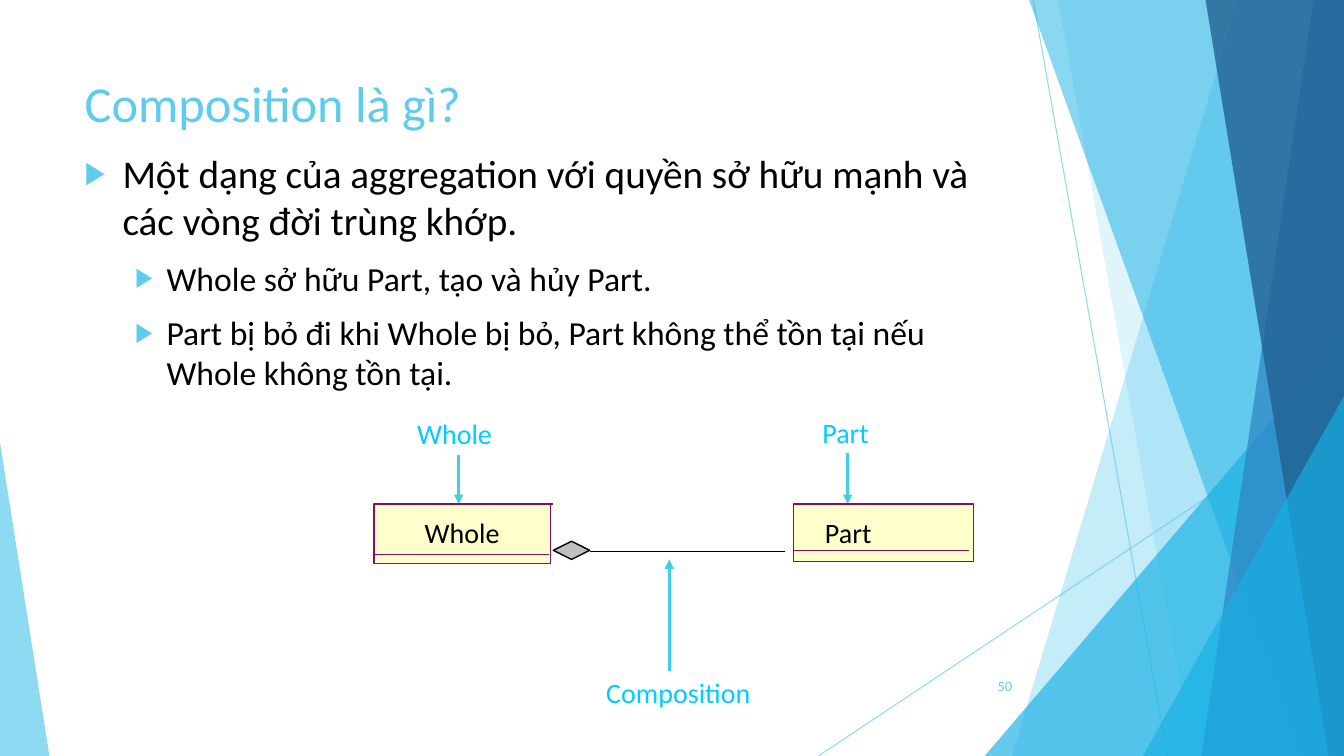
"""Build the slide that explains composition with a small class diagram."""
from dataclasses import dataclass
from typing import Any, Optional

import pptx
import pptx.dml.color
import pptx.enum.dml
import pptx.enum.shapes
import pptx.enum.text
import pptx.oxml
import pptx.oxml.ns
import pptx.util

Pt = pptx.util.Pt
RGBColor = pptx.dml.color.RGBColor
Shape = pptx.enum.shapes.MSO_SHAPE
Align = pptx.enum.text.PP_ALIGN
Anchor = pptx.enum.text.MSO_ANCHOR
AutoSize = pptx.enum.text.MSO_AUTO_SIZE

WIDTH, HEIGHT = 960, 540
SKY = RGBColor(0x5F, 0xCB, 0xEF)
AZURE = RGBColor(0x17, 0xB0, 0xE4)
BLUE = RGBColor(0x2E, 0x83, 0xC3)
NAVY = RGBColor(0x22, 0x62, 0x92)
CYAN = RGBColor(0x00, 0xCC, 0xFF)
ARROW = RGBColor(0x3F, 0xCD, 0xE7)
CREAM = RGBColor(0xFF, 0xFF, 0xCC)
PLUM = RGBColor(0x8A, 0x0E, 0x5E)
SILVER = RGBColor(0xC0, 0xC0, 0xC0)
BLACK = RGBColor(0, 0, 0)


@dataclass
class Line:
    start: tuple[float, float]
    end: tuple[float, float]
    color: RGBColor
    width: float = 1
    arrow: bool = False
    opacity: int = 100


@dataclass
class Band:
    top_x: float
    bottom_x: float
    color: RGBColor
    opacity: int


@dataclass
class Block:
    box: tuple[float, float, float, float]
    fill: RGBColor
    kind: Any = Shape.RECTANGLE
    line: Optional[RGBColor] = None
    opacity: int = 100
    apex: Optional[float] = None


@dataclass
class Label:
    box: tuple[float, float, float, float]
    text: str
    color: RGBColor = CYAN
    size: float = 20
    font: str = "Calibri"
    align: Any = Align.CENTER
    anchor: Any = Anchor.TOP
    inset: tuple[float, float] = (8.64, 4.32)
    wrap: bool = True
    fill: Optional[RGBColor] = None


@dataclass
class Bullet:
    text: str
    level: int
    size: float
    left: float
    hanging: float
    before: float


BACKDROP = [
    Line((738, 0), (833.8, 540), SKY, 0.75, opacity=70),
    Line((960, 290.2), (584.6, 540), SKY, 0.75, opacity=70),
    Band(884.2, 722.9, SKY, 36),
    Band(756, 851.8, SKY, 20),
    Block((703.4, 239.8, 256.6, 300.2), AZURE, Shape.ISOSCELES_TRIANGLE, opacity=66, apex=1),
    Band(735.1, 929.5, AZURE, 50),
    Band(938.2, 858.2, BLUE, 70),
    Band(861.1, 949, NAVY, 80),
    Block((816.5, 283, 143.5, 257), AZURE, Shape.ISOSCELES_TRIANGLE, opacity=66, apex=1),
    Block((0, 316.1, 35.3, 223.9), SKY, Shape.ISOSCELES_TRIANGLE, opacity=70, apex=0),
]
BULLETS = [
    Bullet("Một dạng của aggregation với quyền sở hữu mạnh và các vòng đời trùng khớp.",
           0, 28, 27, 27, 0),
    Bullet("Whole sở hữu Part, tạo và hủy Part.", 1, 24, 58.5, 22.5, 10),
    Bullet("Part bị bỏ đi khi Whole bị bỏ, Part không thể tồn tại nếu Whole không tồn tại.",
           1, 24, 58.5, 22.5, 10),
]
DIAGRAM = [
    Label((676.1, 475.9, 54, 28.8), "50", SKY, 9, "Lato", Align.RIGHT, Anchor.MIDDLE, (7.2, 3.6)),
    Line((560.9, 393.8), (421.2, 393.8), BLACK),
    Block((395.3, 386.6, 25.9, 13), SILVER, Shape.DIAMOND, BLACK),
    Label((285.8, 293, 77.8, 33.1), "Whole"),
    Label((418.3, 478.1, 132.5, 33.1), "Composition"),
    Label((569.5, 292.3, 69.1, 33.1), "Part"),
    Line((478.1, 479.5), (478.1, 399.6), ARROW, 2.25, True),
    Line((327.6, 324.7), (327.6, 360), ARROW, 2.25, True),
    Line((605.5, 323.3), (605.5, 360), ARROW, 2.25, True),
    Block((566.6, 360, 128.9, 41), CREAM, line=PLUM),
    Line((566.6, 393.1), (691.9, 393.1), PLUM),
    Label((589, 367.9, 33.8, 24.5), "Part", BLACK, inset=(0, 0), wrap=False, fill=CREAM),
    Block((267.1, 360, 126, 42.5), CREAM, line=PLUM),
    Line((267.1, 396), (392.4, 396), PLUM),
    Label((303.1, 367.9, 54, 24.5), "Whole", BLACK, inset=(0, 0), wrap=False, fill=CREAM),
    Line((269.3, 360), (395.3, 360), PLUM),
]


def assign(obj: Any, values: dict[str, Any]) -> None:
    for name, value in values.items():
        setattr(obj, name, value)


def add_xml(parent: Any, tag: str, **attributes: str) -> Any:
    child = pptx.oxml.parse_xml(f"<a:{tag} {pptx.oxml.ns.nsdecls('a')}/>")
    for name, value in attributes.items():
        child.set(name, value)
    parent.append(child)
    return child


def paint(fill: Any, color: RGBColor, opacity: int = 100) -> None:
    fill.solid()
    fill.fore_color.rgb = color
    if opacity < 100:
        for clr in fill._xPr.iter(pptx.oxml.ns.qn("a:srgbClr")):
            add_xml(clr, "alpha", val=str(opacity * 1000))


def write(p: Any, text: str, size: float, color: RGBColor, font: str = "Calibri") -> None:
    r = p.add_run()
    r.text = text
    assign(r.font, {"name": font, "size": Pt(size)})
    r.font.color.rgb = color


def draw_line(shapes: Any, line: Line) -> None:
    points = [Pt(v) for v in (*line.start, *line.end)]
    sp = shapes.add_connector(pptx.enum.shapes.MSO_CONNECTOR.STRAIGHT, *points)
    sp.line.width = Pt(line.width)
    paint(sp.line.fill, line.color, line.opacity)
    if line.arrow:
        add_xml(sp.line._get_or_add_ln(), "tailEnd", type="triangle")
    add_xml(sp._element.spPr, "effectLst")


def draw_band(shapes: Any, band: Band) -> None:
    builder = shapes.build_freeform(Pt(band.top_x), 0)
    corners = [(WIDTH, 0), (WIDTH, HEIGHT), (band.bottom_x, HEIGHT)]
    builder.add_line_segments([(Pt(x), Pt(y)) for x, y in corners])
    sp = builder.convert_to_shape()
    sp.shadow.inherit = False
    paint(sp.fill, band.color, band.opacity)
    sp.line.fill.background()


def draw_block(shapes: Any, block: Block) -> None:
    sp = shapes.add_shape(block.kind, *map(Pt, block.box))
    sp.shadow.inherit = False
    if block.apex is not None:
        sp.adjustments[0] = block.apex
    paint(sp.fill, block.fill, block.opacity)
    if block.line is None:
        sp.line.fill.background()
    else:
        sp.line.width = Pt(1)
        paint(sp.line.fill, block.line)


def draw_label(shapes: Any, label: Label) -> None:
    sp = shapes.add_textbox(*map(Pt, label.box))
    if label.fill is not None:
        paint(sp.fill, label.fill)
    x, y = map(Pt, label.inset)
    tf = sp.text_frame
    assign(tf, {"word_wrap": label.wrap, "vertical_anchor": label.anchor,
                "margin_left": x, "margin_right": x, "margin_top": y, "margin_bottom": y})
    p = tf.paragraphs[0]
    p.alignment = label.align
    write(p, label.text, label.size, label.color, label.font)


def place(sp: Any, left: float, top: float, width: float, height: float) -> Any:
    assign(sp, {"left": Pt(left), "top": Pt(top), "width": Pt(width), "height": Pt(height)})
    tf = sp.text_frame
    assign(tf, {"word_wrap": True, "vertical_anchor": Anchor.TOP, "auto_size": AutoSize.NONE})
    return tf


def write_bullet(p: Any, bullet: Bullet) -> None:
    pPr = p._p.get_or_add_pPr()
    pPr.set("marL", str(Pt(bullet.left)))
    pPr.set("indent", str(-Pt(bullet.hanging)))
    add_xml(add_xml(pPr, "buClr"), "srgbClr", val=str(SKY))
    add_xml(pPr, "buSzPct", val="80000")
    add_xml(pPr, "buFont", typeface="Calibri")
    add_xml(pPr, "buChar", char="▶")
    assign(p, {"level": bullet.level, "space_before": Pt(bullet.before), "alignment": Align.LEFT})
    write(p, bullet.text, bullet.size, BLACK)


def main() -> None:
    prs = pptx.Presentation()
    assign(prs, {"slide_width": Pt(WIDTH), "slide_height": Pt(HEIGHT)})
    s = prs.slides.add_slide(prs.slide_layouts[1])
    p = place(s.shapes.title, 53.3, 48.2, 676.8, 103.7).paragraphs[0]
    p.alignment = Align.LEFT
    write(p, "Composition là gì?", 36, SKY)
    tf = place(s.placeholders[1], 53.3, 103, 676.8, 305.3)
    for i, bullet in enumerate(BULLETS):
        write_bullet(tf.add_paragraph() if i else tf.paragraphs[0], bullet)
    draw = {Line: draw_line, Band: draw_band, Block: draw_block, Label: draw_label}
    for item in BACKDROP + DIAGRAM:
        draw[type(item)](s.shapes, item)
    prs.save("out.pptx")


if __name__ == "__main__":
    main()
